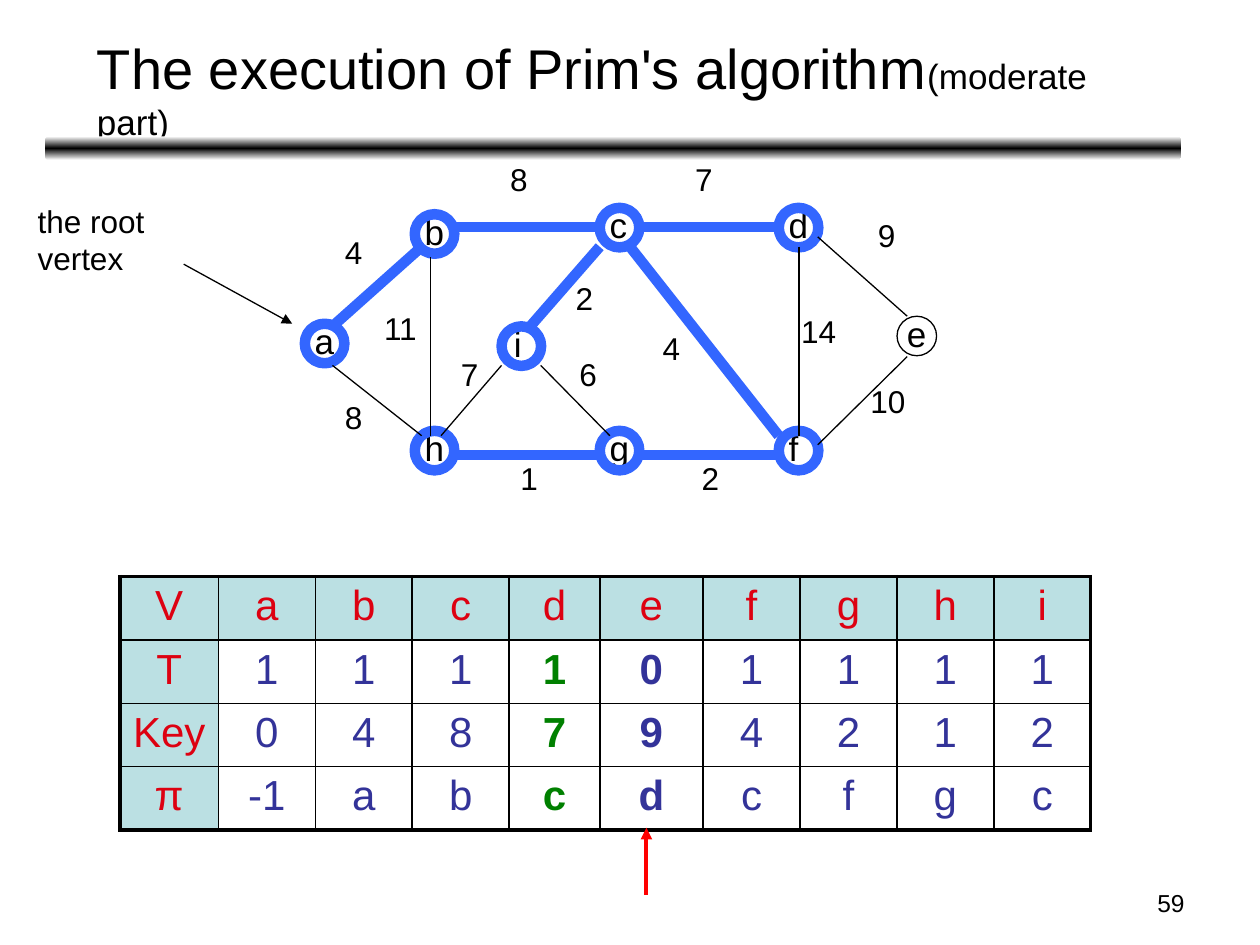
"""Builds a slide showing one step of Prim's algorithm with its graph and state table."""
import copy

import pptx
import pptx.dml.color
import pptx.enum.shapes
import pptx.enum.text
import pptx.oxml.ns
import pptx.oxml.xmlchemy
import pptx.util
from lxml import etree

Pt = pptx.util.Pt
qn = pptx.oxml.ns.qn
rgb = pptx.dml.color.RGBColor.from_string
ALIGN = pptx.enum.text.PP_ALIGN
SHAPE = pptx.enum.shapes.MSO_SHAPE
COLORS = {"black": "000000", "white": "FFFFFF", "blue": "3366FF", "red": "FF0000",
          "header": "BBE0E3", "label": "DD0111", "value": "333399", "added": "008000"}
THIN, THICK = ("black", 0.75), ("blue", 6)

deck = pptx.Presentation()
deck.slide_width, deck.slide_height = Pt(720), Pt(540)
page = deck.slides.add_slide(deck.slide_layouts[5])


def add_text(text, left, top, width, height, size, align=ALIGN.LEFT):
    box = page.shapes.add_textbox(Pt(left), Pt(top), Pt(width), Pt(height))
    box.text_frame.word_wrap = True
    para = box.text_frame.paragraphs[0]
    para.text = text
    para.alignment = align
    para.font.name, para.font.size = "Arial", Pt(size)
    para.font.color.rgb = rgb(COLORS["black"])


def add_line(start, end, color, width, arrow=False):
    line = page.shapes.add_connector(
        pptx.enum.shapes.MSO_CONNECTOR.STRAIGHT, *map(Pt, start + end))
    line.line.color.rgb = rgb(COLORS[color])
    line.line.width = Pt(width)
    if arrow:
        etree.SubElement(line.line._get_or_add_ln(), qn("a:tailEnd"), type="triangle")
    etree.SubElement(line._element.spPr, qn("a:effectLst"))


bar = page.shapes.add_shape(SHAPE.ROUNDED_RECTANGLE, Pt(26), Pt(78), Pt(649), Pt(13.5))
bar.shadow.inherit = False
bar.line.fill.background()
bar.fill.gradient()
bar.fill.gradient_angle = 90
stop_list = bar._element.spPr.find(qn("a:gradFill")).find(qn("a:gsLst"))
stop_list.append(copy.deepcopy(stop_list[0]))
for stop, position, color in zip(bar.fill.gradient_stops, (0, 0.5, 1), ("white", "black", "white")):
    stop.position = position
    stop.color.rgb = rgb(COLORS[color])

title = page.shapes.title
title.left, title.top, title.width, title.height = Pt(48.2), Pt(12.2), Pt(618), Pt(45.4)
frame = title.text_frame
frame.auto_size = pptx.enum.text.MSO_AUTO_SIZE.NONE
frame.vertical_anchor = pptx.enum.text.MSO_ANCHOR.TOP
frame.margin_top = Pt(7)
para = frame.paragraphs[0]
para.alignment = ALIGN.LEFT
para.font.name = "Arial"
para.font.color.rgb = rgb(COLORS["black"])
for text, size in (("The execution of Prim's algorithm", 32), ("(moderate part)", 20)):
    span = para.add_run()
    span.text = text
    span.font.size = Pt(size)

add_text("59", 516, 504, 168, 25, 14, ALIGN.RIGHT)
add_text("the root vertex", 14.4, 111.6, 96.5, 65, 18)
add_line((105, 151), (167, 185), *THIN, arrow=True)

rows = ["V a b c d e f g h i".split(),
        "T 1 1 1 1 0 1 1 1 1".split(),
        "Key 0 4 8 7 9 4 2 1 2".split(),
        "π -1 a b c d c f g c".split()]
widths = [56.2, 55.4, 55.4, 55.4, 51.8, 59, 55.4, 55.4, 55.4, 55.4]
row_height = 36.2
last_row, last_column = len(rows) - 1, len(widths) - 1
added_column, next_column = 4, 5
table = page.shapes.add_table(len(rows), len(widths), Pt(68.6), Pt(329.5),
                              Pt(sum(widths)), Pt(row_height * len(rows))).table
for column, width in zip(table.columns, widths):
    column.width = Pt(width)
for r, row in enumerate(rows):
    table.rows[r].height = Pt(row_height)
    for c, text in enumerate(row):
        cell = table.cell(r, c)
        heading = r == 0 or c == 0
        properties = cell._tc.get_or_add_tcPr()
        edges = {"a:lnL": c == 0, "a:lnR": c == last_column,
                 "a:lnT": r == 0, "a:lnB": r == last_row}
        for tag, outer in edges.items():
            border = etree.SubElement(properties, qn(tag), w=str(Pt(2.25 if outer else 1)))
            fill = etree.SubElement(border, qn("a:solidFill"))
            etree.SubElement(fill, qn("a:srgbClr"), val=COLORS["black"])
        cell.fill.solid()
        cell.fill.fore_color.rgb = rgb(COLORS["header" if heading else "white"])
        para = cell.text_frame.paragraphs[0]
        para.text = text
        para.alignment = ALIGN.CENTER
        para.font.name, para.font.size = "Arial", Pt(24)
        para.font.bold = not heading and c in (added_column, next_column)
        color = "label" if heading else "added" if c == added_column else "value"
        para.font.color.rgb = rgb(COLORS[color])

nodes = {"a": (174.2, 185), "b": (237, 122.4), "h": (237, 246.2),
         "c": (342.7, 118.8), "d": (445, 118.8), "e": (512.6, 180.7),
         "f": (445, 246.2), "g": (342.7, 246.2), "i": (286.6, 186.5)}
for name, (left, top) in nodes.items():
    add_text(name, left if name == "i" else left - 1.5, top - 5.8, 26, 31, 20)
    ring = page.shapes.add_shape(SHAPE.OVAL, Pt(left), Pt(top), Pt(22.6), Pt(22.6))
    ring.shadow.inherit = False
    ring.fill.background()
    color, width = THIN if name == "e" else THICK
    ring.line.color.rgb = rgb(COLORS[color])
    ring.line.width = Pt(width)

tree_edges = [((190, 186.5), (241, 141)), ((257.8, 129.6), (342.7, 129.6)),
              ((257.8, 260), (342.7, 260)), ((365.8, 260), (445, 260)),
              ((360, 141), (445, 249)), ((365.8, 129.6), (445, 129.6)),
              ((303, 186.5), (342.7, 141))]
other_edges = [((190, 208.8), (241, 249)), ((246.2, 147), (246.2, 249)),
               ((456.5, 141), (456.5, 249)), ((467.3, 135.4), (518.4, 180.7)),
               ((467.3, 254.2), (518.4, 203.8)), ((309, 208.8), (348.5, 249)),
               ((252, 249), (286.6, 208.8))]
for edges, style in ((tree_edges, THICK), (other_edges, THIN)):
    for start, end in edges:
        add_line(start, end, *style)

weights = [("4", 190, 129.6), ("8", 284.4, 87.8), ("7", 390.2, 87.8), ("9", 494.6, 120.2),
           ("10", 490.3, 214.6), ("14", 450.7, 175), ("4", 371.5, 184.3), ("2", 321.8, 156.2),
           ("2", 393.8, 258.5), ("6", 324, 199.4), ("1", 290.2, 258.5), ("7", 256.3, 199.4),
           ("11", 212.4, 172.8), ("8", 190, 223.9)]
for text, left, top in weights:
    add_text(text, left, top, 14.6 + 10.1 * len(text), 28.8, 18)

add_line((369.4, 511.2), (369.4, 473), "red", 2.25, arrow=True)

deck.save("out.pptx")
